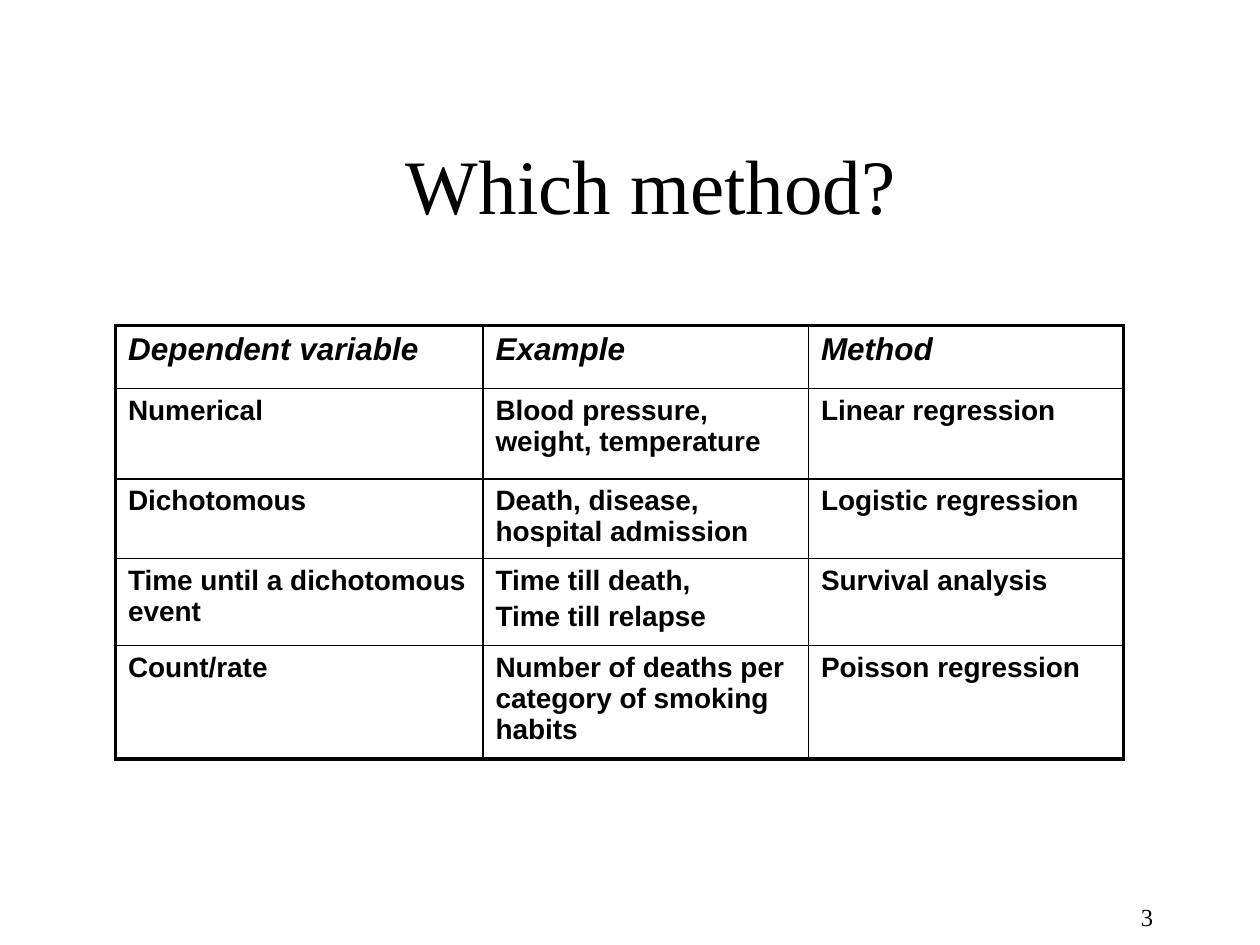
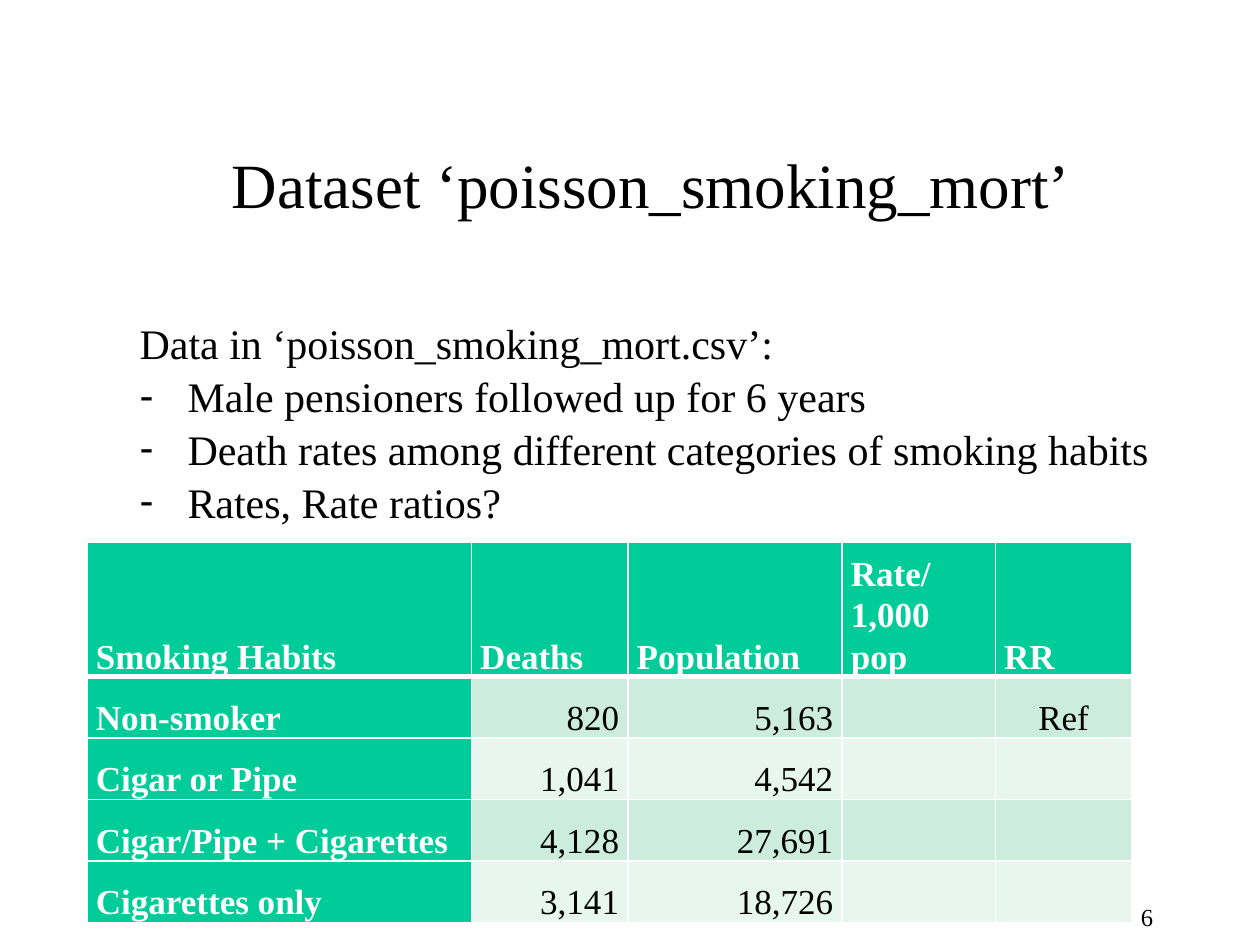
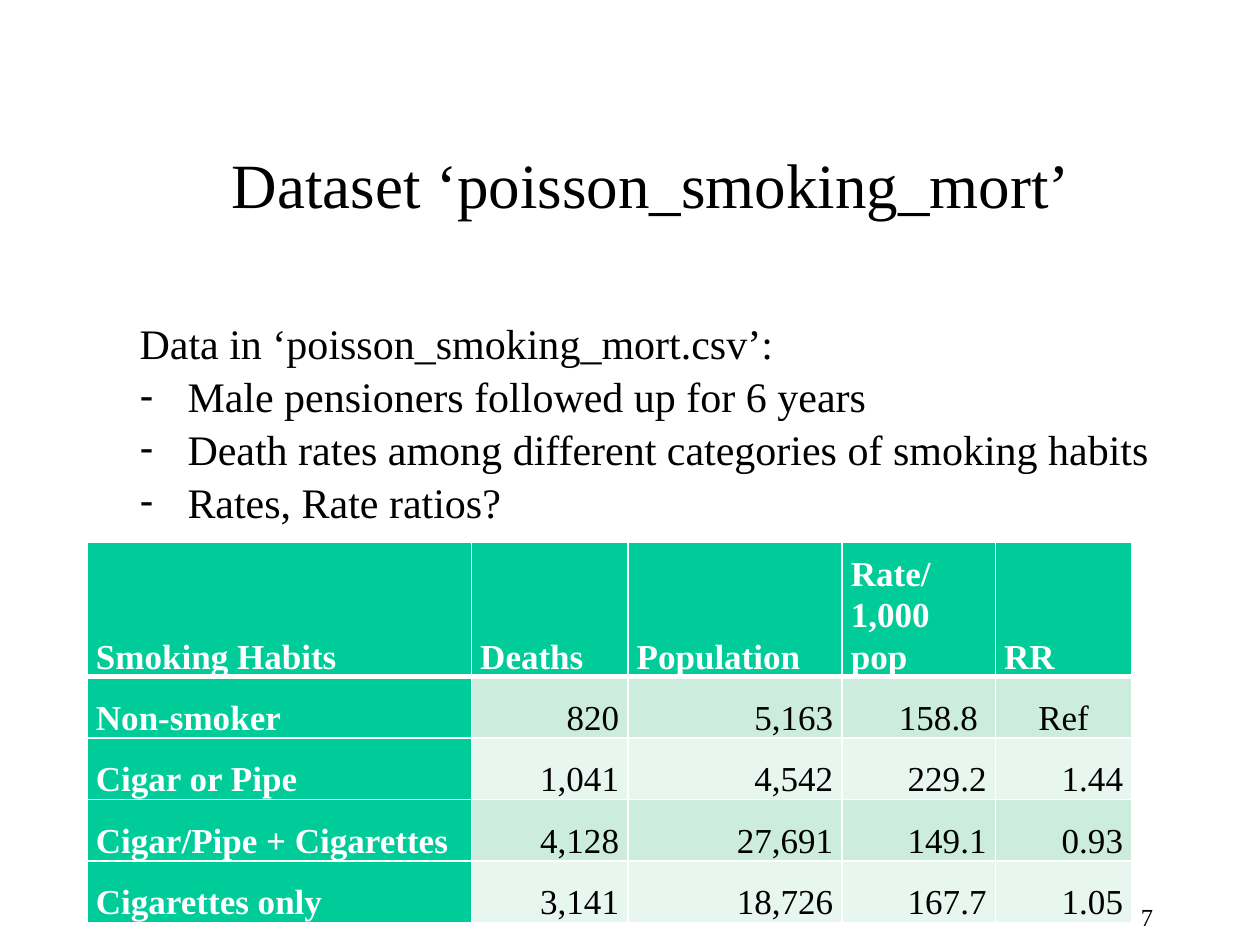
from lxml.etree import SubElement
from pptx import Presentation
from pptx.dml.color import RGBColor
from pptx.enum.text import MSO_ANCHOR, MSO_AUTO_SIZE, PP_ALIGN
from pptx.oxml.ns import qn
from pptx.util import Inches, Pt

HUES = {"ink": "000000", "paper": "FFFFFF", "head": "00CC99",
        "dark": "CCECDE", "light": "E7F6EF"}
SERIF, SANS = "Times New Roman", "Arial"
UNIT = Inches(1) / 12
LEFT, MID, RIGHT = PP_ALIGN.LEFT, PP_ALIGN.CENTER, PP_ALIGN.RIGHT

METHODS = [
    ["Dependent variable", "Example", "Method"],
    ["Numerical", "Blood pressure, weight, temperature", "Linear regression"],
    ["Dichotomous", "Death, disease, hospital admission", "Logistic regression"],
    ["Time until a dichotomous event", "Time till death, \nTime till relapse",
     "Survival analysis"],
    ["Count/rate", "Number of deaths per category of smoking habits",
     "Poisson regression"],
]
HABITS = [
    ["Smoking Habits", "Deaths", "Population", "Rate/\v1,000 pop", "RR"],
    ["Non-smoker", "820", "5,163", "158.8 ", "Ref"],
    ["Cigar or Pipe", "1,041", "4,542", "229.2", "1.44"],
    ["Cigar/Pipe + Cigarettes", "4,128", "27,691", "149.1", "0.93"],
    ["Cigarettes only", "3,141", "18,726", "167.7", "1.05"],
]
BLANK = [HABITS[0]] + [row[:3] + ["", "Ref" if row[4] == "Ref" else ""]
                       for row in HABITS[1:]]
INTRO = "Data in ‘poisson_smoking_mort.csv’:"
POINTS = ["Male pensioners followed up for 6 years",
          "Death rates among different categories of smoking habits",
          "Rates, Rate ratios? "]


def grid(*cells):
    """Turn grid counts into slide lengths."""
    return [round(cell * UNIT) for cell in cells]


def place(shape, *box):
    """Move a shape to a box of the grid."""
    shape.left, shape.top, shape.width, shape.height = grid(*box)


def style(para, size, align=LEFT, face=SERIF, hue="ink", bold=False, slant=False):
    """Format a whole paragraph."""
    font = para.font
    font.name, font.size, font.bold, font.italic = face, Pt(size), bold, slant
    font.color.rgb = RGBColor.from_string(HUES[hue])
    para.alignment = align


def begin(deck, layout, title, size, number):
    """Add a slide with its title and page number."""
    slide = deck.slides.add_slide(deck.slide_layouts[layout])
    head = slide.shapes.title
    place(head, 10, 10, 104, 15)
    head.text_frame.text = title
    head.text_frame.vertical_anchor = MSO_ANCHOR.MIDDLE
    style(head.text_frame.paragraphs[0], size, MID)
    foot = slide.shapes.add_textbox(*grid(86, 85.3, 25, 6)).text_frame
    foot.word_wrap = True
    foot.text = str(number)
    style(foot.paragraphs[0], 14, RIGHT)
    return slide


def bullet(para, mark):
    """Give a paragraph a hanging mark, or none."""
    props = para._p.get_or_add_pPr()
    step = Inches(0.38) if mark else 0
    props.set("marL", str(step))
    props.set("indent", str(-step))
    if mark:
        SubElement(props, qn("a:buChar"), char=mark)
    else:
        SubElement(props, qn("a:buNone"))


def listing(slide):
    """Fill the body with the intro and its points."""
    body = slide.placeholders[1]
    place(body, 12.1, 29.4, 104, 25.4)
    frame = body.text_frame
    frame.auto_size = MSO_AUTO_SIZE.NONE
    frame.text = "\n".join([INTRO] + POINTS)
    for index, para in enumerate(frame.paragraphs):
        para.space_before = Pt(0)
        para.line_spacing = 1.05
        bullet(para, "-" if index else None)
        style(para, 24)


def border(cell, hue, widths):
    """Draw the left, right, top and bottom edges of a cell."""
    props = cell._tc.get_or_add_tcPr()
    for side, width in zip("LRTB", widths):
        line = SubElement(props, qn("a:ln" + side), w=str(Pt(width)))
        fill = SubElement(line, qn("a:solidFill"))
        SubElement(fill, qn("a:srgbClr"), val=HUES[hue])


def table(slide, data, spot, cols, rows, paint):
    """Add a plain table and paint every cell."""
    box = grid(*spot, sum(cols), sum(rows))
    made = slide.shapes.add_table(len(rows), len(cols), *box).table
    made.first_row = made.horz_banding = False
    for col, width in zip(made.columns, grid(*cols)):
        col.width = width
    for row, height in zip(made.rows, grid(*rows)):
        row.height = height
    for r, line in enumerate(data):
        for c, text in enumerate(line):
            cell = made.cell(r, c)
            cell.text_frame.text = text
            paint(cell, r, c)


def method(cell, r, c):
    """Paint a cell of the method table."""
    edges = [c == 0, c == len(METHODS[0]) - 1, r == 0, r == len(METHODS) - 1]
    border(cell, "ink", [2.25 if edge else 1 for edge in edges])
    cell.fill.background()
    size = 16 if r else 18
    for para in cell.text_frame.paragraphs:
        para.space_before = Pt(size * 0.2)
        style(para, size, face=SANS, bold=True, slant=r == 0)


def habit(cell, r, c):
    """Paint a cell of the smoking table."""
    head = r == 0 or c == 0
    border(cell, "paper", [1, 1, 3 if r == 1 else 1, 3 if r == 0 else 1])
    cell.fill.solid()
    tone = "head" if head else "dark" if r % 2 else "light"
    cell.fill.fore_color.rgb = RGBColor.from_string(HUES[tone])
    cell.vertical_anchor = MSO_ANCHOR.BOTTOM
    cell.margin_left = cell.margin_right = Inches(0.07)
    cell.margin_top = cell.margin_bottom = 0
    para = cell.text_frame.paragraphs[0]
    para.line_spacing = 1.07
    align = LEFT if head else MID if para.text == "Ref" else RIGHT
    style(para, 20, align, hue="paper" if head else "ink", bold=head)


def main():
    """Build the deck."""
    deck = Presentation()
    deck.slide_width, deck.slide_height = Inches(10), Inches(7.5)
    slide = begin(deck, 5, "Which method?", 44, 3)
    table(slide, METHODS, (11, 31), [35, 31, 30], [6, 8.6, 7.6, 8.3, 10], method)
    for number, data in [(6, BLANK), (7, HABITS)]:
        slide = begin(deck, 1, "Dataset ‘poisson_smoking_mort’", 36, number)
        listing(slide)
        table(slide, data, (8.3, 51.6), [36.6, 14.9, 20.4, 14.6, 13],
              [12.8] + [5.85] * 4, habit)
    deck.save("out.pptx")


main()
